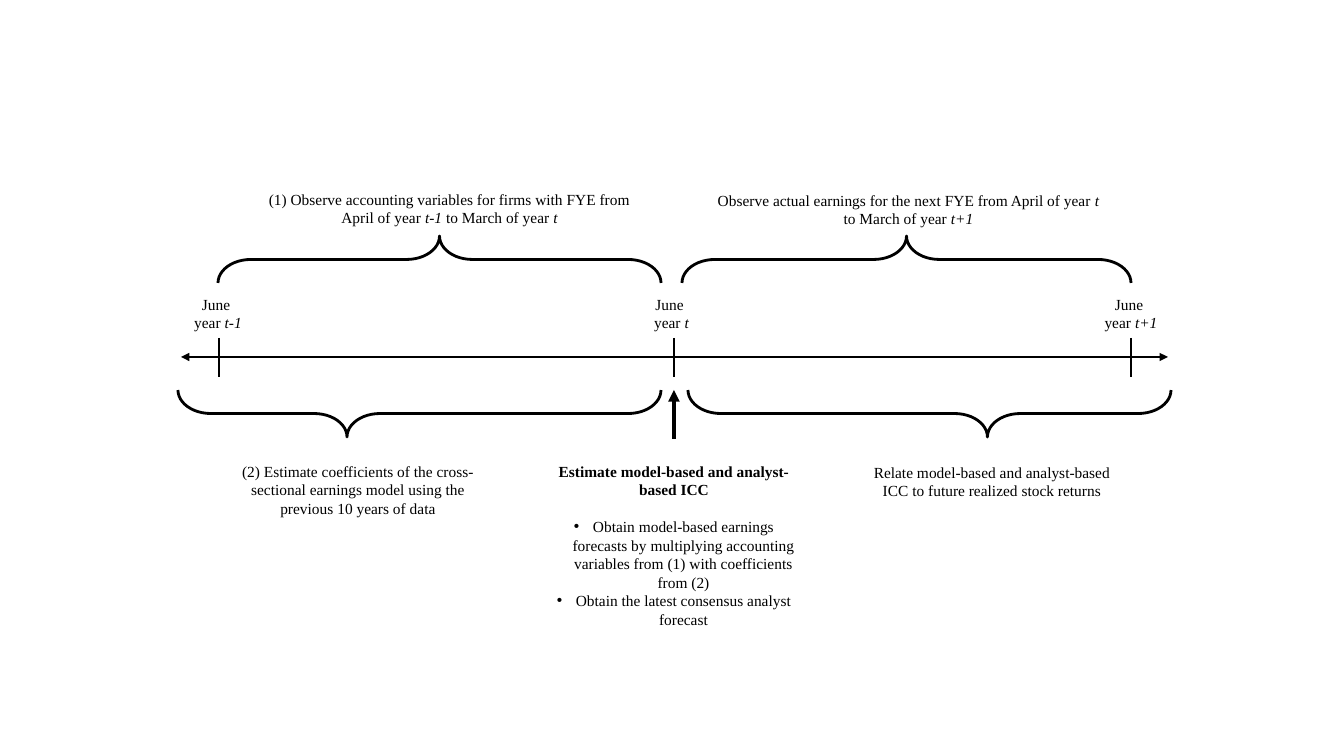
from lxml import etree
from pptx import Presentation
from pptx.dml.color import RGBColor
from pptx.enum.shapes import MSO_CONNECTOR, MSO_SHAPE
from pptx.enum.text import MSO_ANCHOR, PP_ALIGN
from pptx.oxml.ns import qn
from pptx.util import Pt

STRAIGHT = MSO_CONNECTOR.STRAIGHT
LEFT_BRACE = MSO_SHAPE.LEFT_BRACE
TOP, MIDDLE = MSO_ANCHOR.TOP, MSO_ANCHOR.MIDDLE
CENTER = PP_ALIGN.CENTER

COLORS = {"ink": "000000", "paper": "FFFFFF"}
FONT = {"name": "Times New Roman", "size": Pt(11)}
SCALE = 914400 / 100.8
AXIS_Y = 357
BRACE_HEIGHT = 47
BULLET_INDENT = 19
LINE_WIDTH = 2
YEARS = (219, 674, 1131)


def px(value):
    return round(value * SCALE)


def rgb(name):
    return RGBColor.from_string(COLORS[name])


def apply_format(target, values):
    for name, value in values.items():
        setattr(target, name, value)


def add_spans(para, texts, bold=False):
    para.alignment = CENTER
    for index, text in enumerate(texts):
        span = para.add_run()
        span.text = text
        apply_format(span.font, {**FONT, "bold": bold, "italic": index % 2 == 1})
        span.font.color.rgb = rgb("ink")


def add_text(page, left, top, width, height, paras, bold=False, anchor=TOP, wrap=True):
    box = page.shapes.add_textbox(px(left), px(top), px(width), px(height))
    frame = box.text_frame
    apply_format(frame, {"word_wrap": wrap, "vertical_anchor": anchor})
    for index, texts in enumerate(paras):
        para = frame.add_paragraph() if index else frame.paragraphs[0]
        add_spans(para, texts, bold)
    return frame


def add_bullet(frame, text, space_before=0):
    para = frame.add_paragraph()
    add_spans(para, [text])
    para.space_before = Pt(space_before)
    properties = para._p.get_or_add_pPr()
    properties.set("marL", str(px(BULLET_INDENT)))
    properties.set("indent", str(-px(BULLET_INDENT)))
    etree.SubElement(properties, qn("a:buFont")).set("typeface", "Arial")
    etree.SubElement(properties, qn("a:buChar")).set("char", "•")


def add_line(page, start, end, width=LINE_WIDTH, arrows=()):
    line = page.shapes.add_connector(STRAIGHT, *map(px, start + end))
    line.line.width = Pt(width)
    line.line.color.rgb = rgb("ink")
    outline = line.line._get_or_add_ln()
    for arrow in arrows:
        etree.SubElement(outline, qn(f"a:{arrow}")).set("type", "triangle")
    etree.SubElement(line._element.spPr, qn("a:effectLst"))


def add_brace(page, left, top, width, rotation, tip):
    middle_x, middle_y = left + width / 2, top + BRACE_HEIGHT / 2
    brace = page.shapes.add_shape(
        LEFT_BRACE, px(middle_x - BRACE_HEIGHT / 2), px(middle_y - width / 2),
        px(BRACE_HEIGHT), px(width))
    brace.rotation = rotation
    brace.shadow.inherit = False
    brace.adjustments[0] = 0.7
    brace.adjustments[1] = tip
    brace.fill.solid()
    brace.fill.fore_color.rgb = rgb("paper")
    brace.line.color.rgb = rgb("ink")
    brace.line.width = Pt(LINE_WIDTH)


def add_timeline(page):
    add_line(page, (1168, AXIS_Y), (181, AXIS_Y), arrows=("headEnd", "tailEnd"))
    for x in YEARS:
        add_line(page, (x, 338), (x, 377))
    add_line(page, (YEARS[1], 439), (YEARS[1], 390), 2.75, ("tailEnd",))


def add_year_labels(page):
    for left, width, year, anchor, wrap in (
        (181, 74, "t-1", MIDDLE, True),
        (644, 55, "t", TOP, False),
        (1094, 74, "t+1", MIDDLE, True),
    ):
        add_text(page, left, 290, width, 47, [["June "], ["year ", year]],
                 anchor=anchor, wrap=wrap)


def add_notes_around(page):
    add_text(page, 255, 185, 389, 47, [[
        "(1) Observe accounting variables for firms with FYE from April of year ",
        "t-1 ", "to March of year ", "t"]])
    add_text(page, 707, 186, 403, 47, [[
        "Observe actual earnings for the next FYE from April of year ",
        "t", " to March of year ", "t+1"]])
    add_text(page, 219, 457, 278, 66, [[
        "(2) Estimate coefficients of the cross-sectional earnings model "
        "using the previous 10 years of data"]])
    add_text(page, 853, 458, 278, 47, [[
        "Relate model-based and analyst-based ICC to future realized stock returns"]])
    estimate = add_text(page, 535, 457, 278, 159, [[
        "Estimate model-based and analyst-based ICC"]], bold=True)
    add_bullet(estimate, "Obtain model-based earnings forecasts by multiplying "
               "accounting variables from (1) with coefficients from (2)", 13)
    add_bullet(estimate, "Obtain the latest consensus analyst forecast")


def main():
    deck = Presentation()
    apply_format(deck, {"slide_width": px(1344), "slide_height": px(756)})
    page = deck.slides.add_slide(deck.slide_layouts[6])
    add_timeline(page)
    for brace in (
        (218, 236, 443, 90, 0.5),
        (682, 236, 449, 90, 0.5),
        (178, 390, 483, 270, 0.35),
        (688, 390, 483, 270, 0.62),
    ):
        add_brace(page, *brace)
    add_year_labels(page)
    add_notes_around(page)
    deck.save("out.pptx")


if __name__ == "__main__":
    main()
